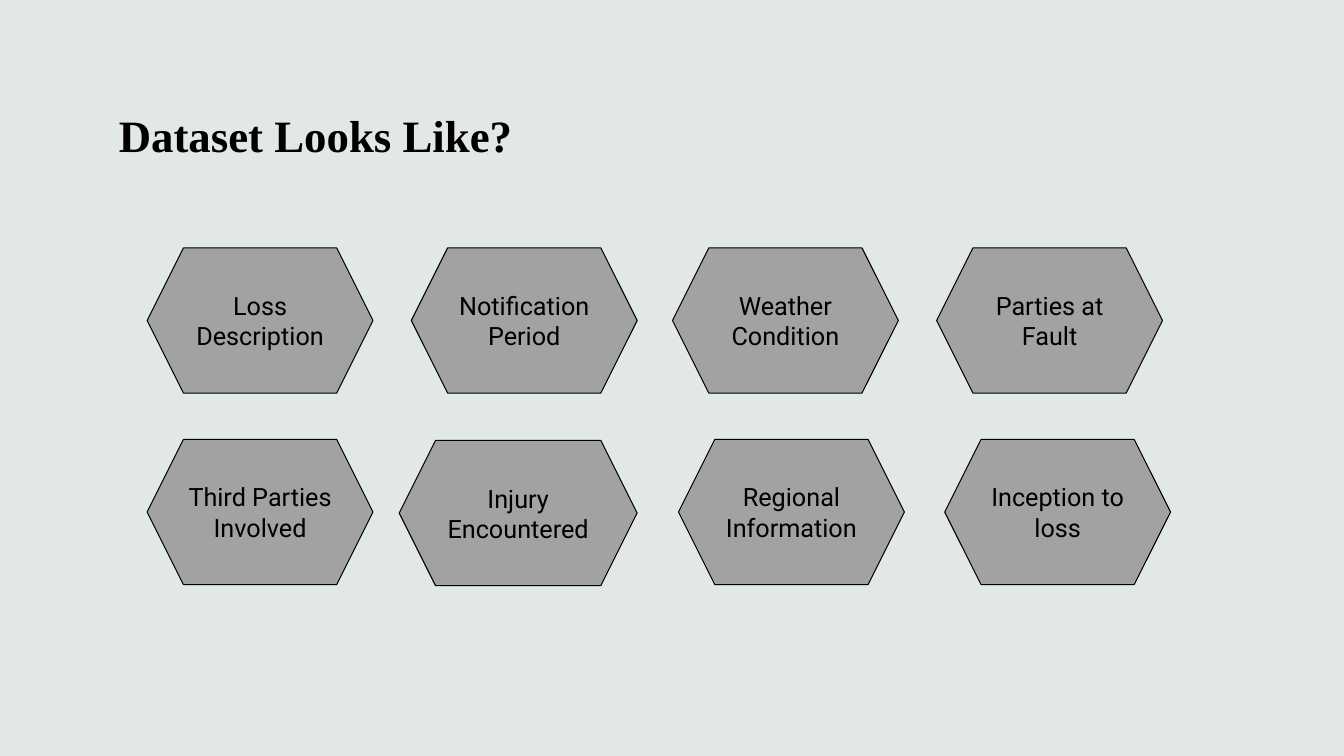
from dataclasses import dataclass

from pptx import Presentation
from pptx.dml.color import RGBColor
from pptx.enum.shapes import MSO_SHAPE
from pptx.enum.text import MSO_ANCHOR, PP_ALIGN
from pptx.util import Inches, Pt


@dataclass(frozen=True)
class Theme:
    background: RGBColor = RGBColor.from_string("E2E8E4")
    hexagon: RGBColor = RGBColor.from_string("A2A2A2")
    ink: RGBColor = RGBColor.from_string("000000")
    title_font: str = "Times New Roman"
    label_font: str = "Roboto"
    title_size: int = 32
    label_size: int = 18
    outline: float = 0.75


theme = Theme()


def write_text(shape, text, *, font, size, bold=False,
               align=PP_ALIGN.LEFT, anchor=MSO_ANCHOR.MIDDLE):
    frame = shape.text_frame
    frame.word_wrap = True
    frame.vertical_anchor = anchor
    paragraph = frame.paragraphs[0]
    paragraph.alignment = align
    run = paragraph.add_run()
    run.text = text
    run.font.name = font
    run.font.size = Pt(size)
    run.font.bold = bold
    run.font.color.rgb = theme.ink


presentation = Presentation()
presentation.slide_width = Inches(13.33)
presentation.slide_height = Inches(7.5)
slide = presentation.slides.add_slide(presentation.slide_layouts[6])
slide.background.fill.solid()
slide.background.fill.fore_color.rgb = theme.background

title = slide.shapes.add_textbox(Inches(1.08), Inches(0.43), Inches(11.17), Inches(1.22))
write_text(title, "Dataset Looks Like?", font=theme.title_font,
           size=theme.title_size, bold=True, anchor=MSO_ANCHOR.BOTTOM)

# Each field: label, left, top, width
fields = [
    ("Loss Description", 1.46, 2.46, 2.24),
    ("Notification Period", 4.08, 2.46, 2.24),
    ("Weather Condition", 6.67, 2.46, 2.24),
    ("Parties at Fault", 9.29, 2.46, 2.24),
    ("Third Parties Involved", 1.46, 4.36, 2.24),
    ("Injury Encountered", 3.96, 4.37, 2.36),
    ("Regional Information", 6.73, 4.36, 2.24),
    ("Inception to loss", 9.37, 4.36, 2.24),
]
for label, left, top, width in fields:
    hexagon = slide.shapes.add_shape(MSO_SHAPE.HEXAGON, Inches(left), Inches(top),
                                     Inches(width), Inches(1.44))
    hexagon.shadow.inherit = False
    hexagon.fill.solid()
    hexagon.fill.fore_color.rgb = theme.hexagon
    hexagon.line.color.rgb = theme.ink
    hexagon.line.width = Pt(theme.outline)
    write_text(hexagon, label, font=theme.label_font, size=theme.label_size,
               align=PP_ALIGN.CENTER)

presentation.save("out.pptx")
